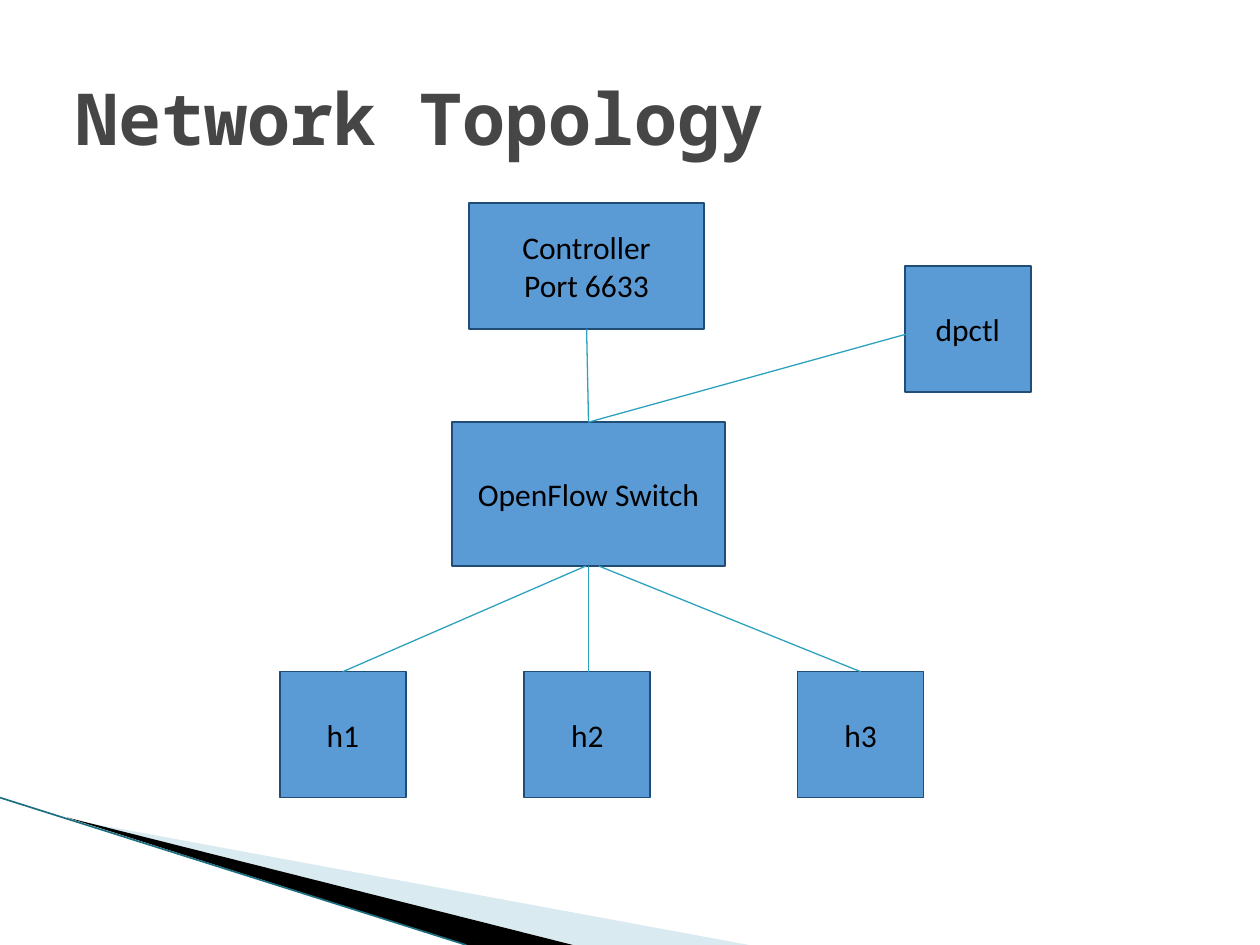
from lxml.etree import SubElement
from pptx import Presentation
from pptx.dml.color import RGBColor
from pptx.enum.shapes import MSO_CONNECTOR, MSO_SHAPE
from pptx.enum.text import MSO_ANCHOR, PP_ALIGN
from pptx.oxml.ns import qn
from pptx.util import Cm, Pt

BLACK = RGBColor(0, 0, 0)
GRAY = RGBColor(0x46, 0x46, 0x46)
BLUE = RGBColor(0x5B, 0x9B, 0xD5)
NAVY = RGBColor(0x1F, 0x4D, 0x78)
TEAL = RGBColor(0x2D, 0xA2, 0xBF)
DARK_TEAL = RGBColor(0x1B, 0x6F, 0x80)
PALE_BLUE = RGBColor(0xD9, 0xEA, 0xF1)

TITLE = "Network Topology"
SIDE = 2.54
HOST_TOP = 13.54
WEDGES = [
    (PALE_BLUE, [(1.4, 16.52), (15.1, 19.05), (11.58, 19.05)]),
    (BLACK, [(1.35, 16.48), (11.55, 19.05), (9.4, 19.05)]),
]
EDGE = ((0, 16.08), (9.4, 19.05))
NODES = {
    "switch": (["OpenFlow Switch"], 9.12, 8.51, 5.49, 2.9),
    "controller": (["Controller", "Port 6633"], 9.45, 4.09, 4.75, SIDE),
    "dpctl": (["dpctl"], 18.24, 5.36, SIDE, SIDE),
    "h1": (["h1"], 5.64, HOST_TOP, SIDE, SIDE),
    "h2": (["h2"], 10.57, HOST_TOP, SIDE, SIDE),
    "h3": (["h3"], 16.08, HOST_TOP, SIDE, SIDE),
}
HOST_PORTS = {"h1": 11.81, "h2": 11.86, "h3": 12.07}

deck = Presentation()
deck.slide_width, deck.slide_height = Cm(25.4), Cm(19.05)
page = deck.slides.add_slide(deck.slide_layouts[6])


def add_line(start, end, color, width):
    points = [Cm(value) for value in (*start, *end)]
    line = page.shapes.add_connector(MSO_CONNECTOR.STRAIGHT, *points)
    line.line.color.rgb = color
    line.line.width = Pt(width)
    SubElement(line._element.spPr, qn("a:effectLst"))


def add_text(para, text, font, size, color, bold=False):
    span = para.add_run()
    span.text = text
    span.font.name = font
    span.font.size = Pt(size)
    span.font.bold = bold
    span.font.color.rgb = color


def add_node(lines, *place):
    box = page.shapes.add_shape(MSO_SHAPE.RECTANGLE, *map(Cm, place))
    box.shadow.inherit = False
    box.fill.solid()
    box.fill.fore_color.rgb = BLUE
    box.line.color.rgb = NAVY
    box.line.width = Pt(1)
    frame = box.text_frame
    frame.word_wrap = True
    frame.vertical_anchor = MSO_ANCHOR.MIDDLE
    for index, text in enumerate(lines):
        para = frame.add_paragraph() if index else frame.paragraphs[0]
        para.alignment = PP_ALIGN.CENTER
        add_text(para, text, "Calibri", 18, BLACK)


def top_center(name):
    lines, left, top, width, height = NODES[name]
    return left + width / 2, top


def bottom_center(name):
    x, top = top_center(name)
    return x, top + NODES[name][4]


for color, corners in WEDGES:
    points = [(Cm(x), Cm(y)) for x, y in corners]
    builder = page.shapes.build_freeform(*points[0])
    builder.add_line_segments(points[1:])
    wedge = builder.convert_to_shape()
    wedge.shadow.inherit = False
    wedge.fill.solid()
    wedge.fill.fore_color.rgb = color
    wedge.line.fill.background()
add_line(*EDGE, DARK_TEAL, 0.95)

title = page.shapes.add_textbox(Cm(1.27), Cm(0.76), Cm(22.86), Cm(3.18))
title.text_frame.word_wrap = True
title.text_frame.vertical_anchor = MSO_ANCHOR.MIDDLE
add_text(title.text_frame.paragraphs[0], TITLE, "Noto Sans Mono", 41, GRAY, True)

for node in NODES.values():
    add_node(*node)

switch_top = top_center("switch")
switch_bottom = bottom_center("switch")[1]
links = [(bottom_center("controller"), switch_top), ((18.29, 6.73), switch_top)]
for host, port in HOST_PORTS.items():
    end = (port, HOST_TOP) if host == "h2" else top_center(host)
    links.append(((port, switch_bottom), end))
for start, end in links:
    add_line(start, end, TEAL, 0.75)

deck.save("out.pptx")
